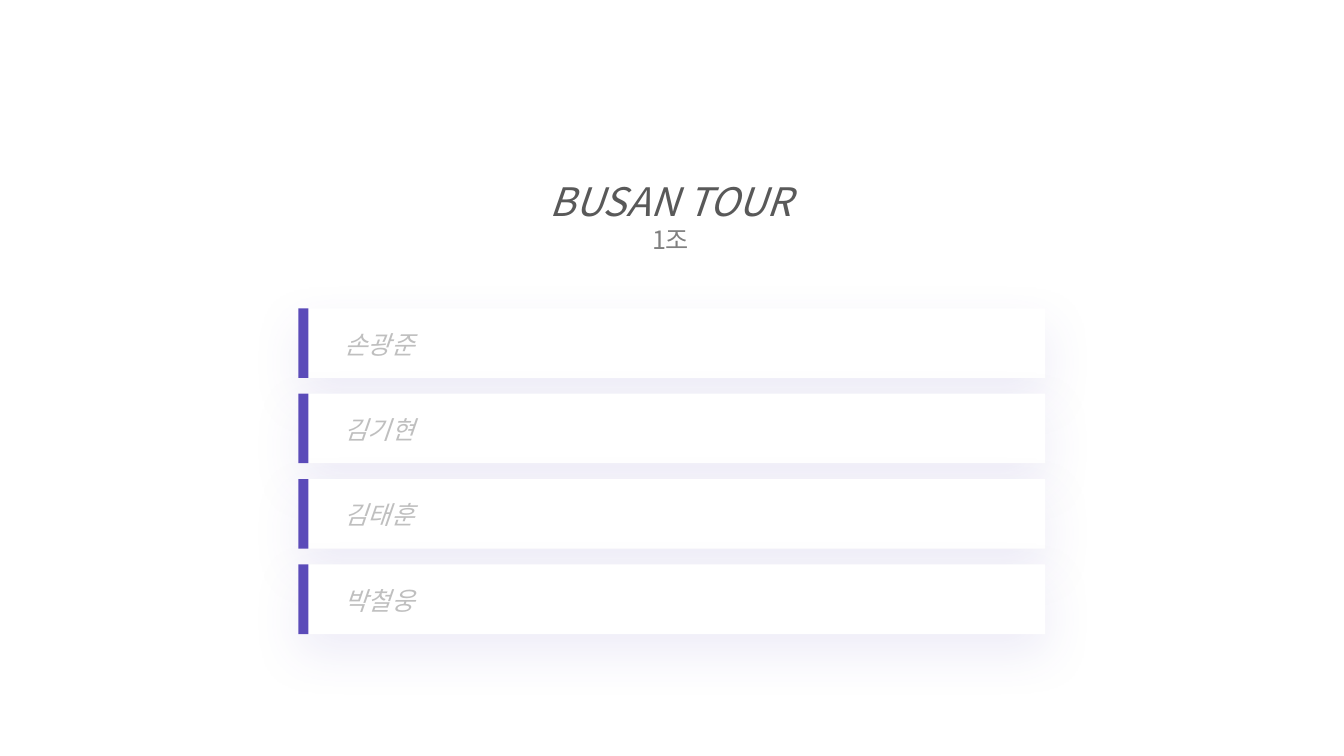
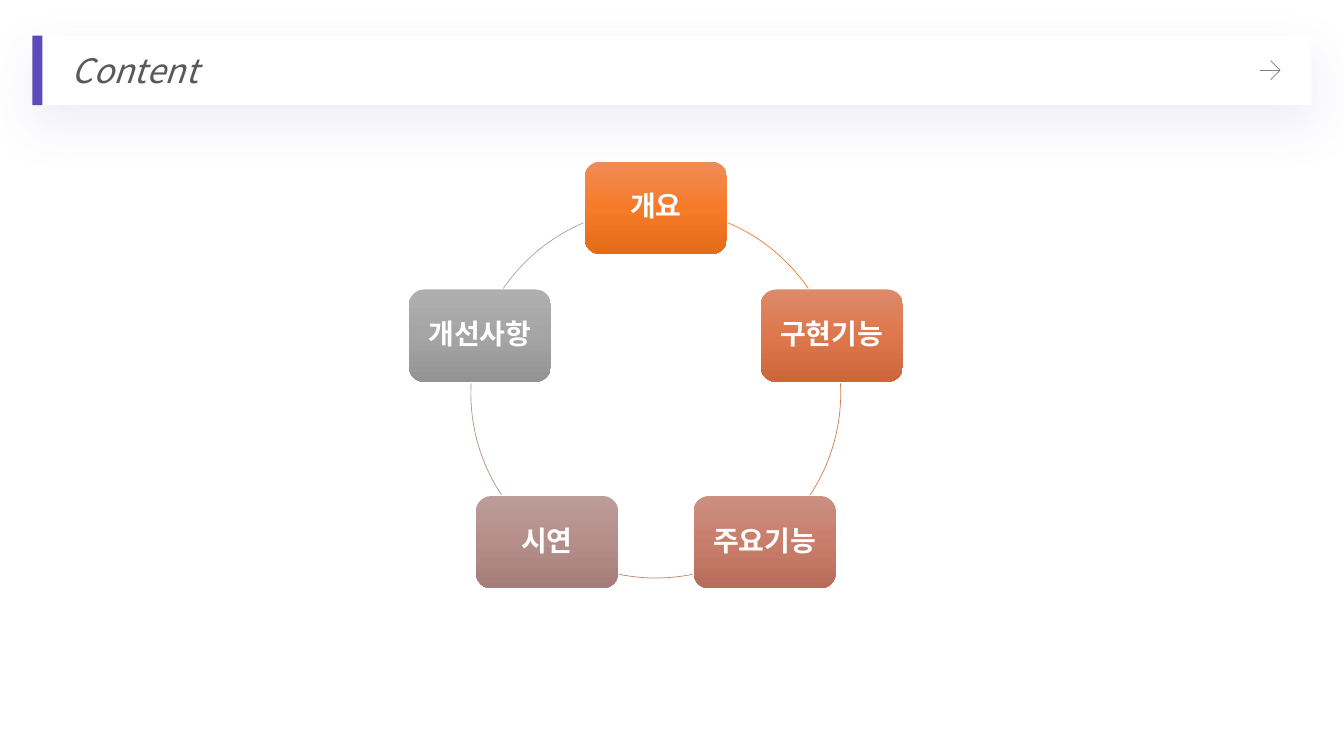
from copy import deepcopy
from dataclasses import dataclass

from lxml.etree import SubElement
from pptx import Presentation
from pptx.dml.color import RGBColor
from pptx.enum.shapes import MSO_CONNECTOR, MSO_SHAPE
from pptx.enum.text import MSO_ANCHOR, PP_ALIGN
from pptx.oxml.ns import qn
from pptx.util import Pt


@dataclass(frozen=True)
class Theme:
    accent: str = "5B4BB9"
    white: str = "FFFFFF"
    dark: str = "595959"
    medium: str = "808080"
    light: str = "BFBFBF"
    font: str = "Noto Sans CJK KR"
    node_font: str = "Arial"
    title_size: int = 28
    header_size: int = 24
    node_size: int = 20
    body_size: int = 18
    panel_height: float = 49.7
    bar_width: float = 7.2
    hairline: float = 0.5


theme = Theme()


def add_run(paragraph, text, size, color, italic=False, bold=False, font=theme.font):
    run = paragraph.add_run()
    run.text = text
    run.font.name = font
    run.font.size = Pt(size)
    run.font.italic = italic
    run.font.bold = bold
    run.font.color.rgb = RGBColor.from_string(color)
    latin = run.font._element.find(qn("a:latin"))
    east_asian = deepcopy(latin)
    east_asian.tag = qn("a:ea")
    east_asian.set("typeface", theme.font)
    latin.addnext(east_asian)


def add_panel(slide, left, top, width):
    """Add a white panel with a soft shadow and an accent bar at its left edge."""
    parts = []
    for part_width, color in ((width, theme.white), (theme.bar_width, theme.accent)):
        part = slide.shapes.add_shape(
            MSO_SHAPE.RECTANGLE, Pt(left), Pt(top), Pt(part_width), Pt(theme.panel_height))
        part.shadow.inherit = False
        part.fill.solid()
        part.fill.fore_color.rgb = RGBColor.from_string(color)
        part.line.fill.background()
        parts.append(part)
    panel = parts[0]
    effects = panel._element.spPr.find(qn("a:effectLst"))
    shadow = SubElement(effects, qn("a:outerShdw"), blurRad=str(Pt(35)), dist=str(Pt(13)),
                        dir="5400000", algn="t", rotWithShape="0")
    shadow_color = SubElement(shadow, qn("a:srgbClr"), val=theme.accent)
    SubElement(shadow_color, qn("a:alpha"), val="10000")
    return panel


presentation = Presentation()
presentation.slide_width, presentation.slide_height = Pt(960), Pt(540)
blank_layout = presentation.slide_layouts[6]

# Cover: title and team members
slide = presentation.slides.add_slide(blank_layout)
title_frame = slide.shapes.add_textbox(Pt(239), Pt(123), Pt(480), Pt(63.4)).text_frame
title_frame.word_wrap = True
title = title_frame.paragraphs[0]
subtitle = title_frame.add_paragraph()
add_run(title, "BUSAN TOUR", theme.title_size, theme.dark, italic=True)
add_run(subtitle, "1조", theme.body_size, theme.medium)
title.alignment = subtitle.alignment = PP_ALIGN.CENTER

for index, member in enumerate(("손광준", "김기현", "김태훈", "박철웅")):
    top = 220.2 + 61 * index
    add_panel(slide, 213.1, top, 533.4)
    name_frame = slide.shapes.add_textbox(Pt(239.2), Pt(top + 11.2), Pt(188), Pt(29)).text_frame
    name_frame.word_wrap = True
    add_run(name_frame.paragraphs[0], member, theme.body_size, theme.light, italic=True)

# Contents: a ring of five topics
slide = presentation.slides.add_slide(blank_layout)
center_x, center_y, radius = 468.5, 280.8, 132.1
node_width, node_height = 101.6, 66
# Label, node centre, gradient, arc to the next node as (start, end) in degrees, arc colour
topics = (
    ("개요", (468.5, 148.5), ("F18C57", "F67B28", "E56C19"), (293, 325.5), "ED7D31"),
    ("구현기능", (594.2, 239.8), ("DD8A6A", "DE774B", "CD673B"), (357, 33.4), "D87A51"),
    ("주요기능", (546.2, 387.3), ("CB8F81", "C97E6B", "B76D5B"), (78.5, 101.5), "C48170"),
    ("시연", (390.8, 387.3), ("BC9C99", "B68E89", "A47C78"), (146.6, 183), "B4908B"),
    ("개선사항", (342.8, 239.8), ("AFAFAF", "A5A5A5", "939393"), (214.5, 247), "A5A5A5"),
)
for label, (node_x, node_y), gradient, arc_angles, arc_color in topics:
    node = slide.shapes.add_shape(
        MSO_SHAPE.ROUNDED_RECTANGLE, Pt(node_x - node_width / 2), Pt(node_y - node_height / 2),
        Pt(node_width), Pt(node_height))
    node.shadow.inherit = False
    node.line.fill.background()
    node.fill.gradient()
    node.fill.gradient_angle = 270
    first_stop = node._element.spPr.find(".//" + qn("a:gs"))
    first_stop.addnext(deepcopy(first_stop))
    for stop, position, color in zip(node.fill.gradient_stops, (0, 0.5, 1), gradient):
        stop.position = position
        stop.color.rgb = RGBColor.from_string(color)

    frame = node.text_frame
    frame.word_wrap = True
    frame.vertical_anchor = MSO_ANCHOR.MIDDLE
    frame.margin_left = frame.margin_right = frame.margin_top = frame.margin_bottom = Pt(6)
    paragraph = frame.paragraphs[0]
    paragraph.alignment = PP_ALIGN.CENTER
    paragraph.line_spacing = 0.9
    paragraph.space_after = Pt(7)
    add_run(paragraph, label, theme.node_size, theme.white, bold=True, font=theme.node_font)

    arc = slide.shapes.add_shape(
        MSO_SHAPE.ARC, Pt(center_x - radius), Pt(center_y - radius), Pt(2 * radius), Pt(2 * radius))
    arc.shadow.inherit = False
    arc.fill.background()
    arc.line.color.rgb = RGBColor.from_string(arc_color)
    arc.line.width = Pt(theme.hairline)
    for index, angle in enumerate(arc_angles):
        arc.adjustments[index] = angle * 0.6  # 60000ths of a degree, stored per 100000

header = add_panel(slide, 23.2, 25.4, 913.5)
header_frame = header.text_frame
header_frame.margin_left = Pt(28)
header_frame.vertical_anchor = MSO_ANCHOR.MIDDLE
header_frame.paragraphs[0].alignment = PP_ALIGN.LEFT
add_run(header_frame.paragraphs[0], "Content", theme.header_size, theme.dark, italic=True)

tip_x, tip_y = 914.4, 50.2
builder = slide.shapes.build_freeform(Pt(tip_x - 6.9), Pt(tip_y - 6.9))
builder.add_line_segments(
    [(Pt(tip_x), Pt(tip_y)), (Pt(tip_x - 6.9), Pt(tip_y + 6.9))], close=False)
arrow_tip = builder.convert_to_shape()
arrow_tip.shadow.inherit = False
arrow_tip.fill.background()
arrow_shaft = slide.shapes.add_connector(
    MSO_CONNECTOR.STRAIGHT, Pt(900), Pt(tip_y), Pt(tip_x), Pt(tip_y))
SubElement(arrow_shaft._element.spPr, qn("a:effectLst"))
for part in (arrow_tip, arrow_shaft):
    part.line.color.rgb = RGBColor.from_string(theme.medium)
    part.line.width = Pt(theme.hairline)

presentation.save("out.pptx")
